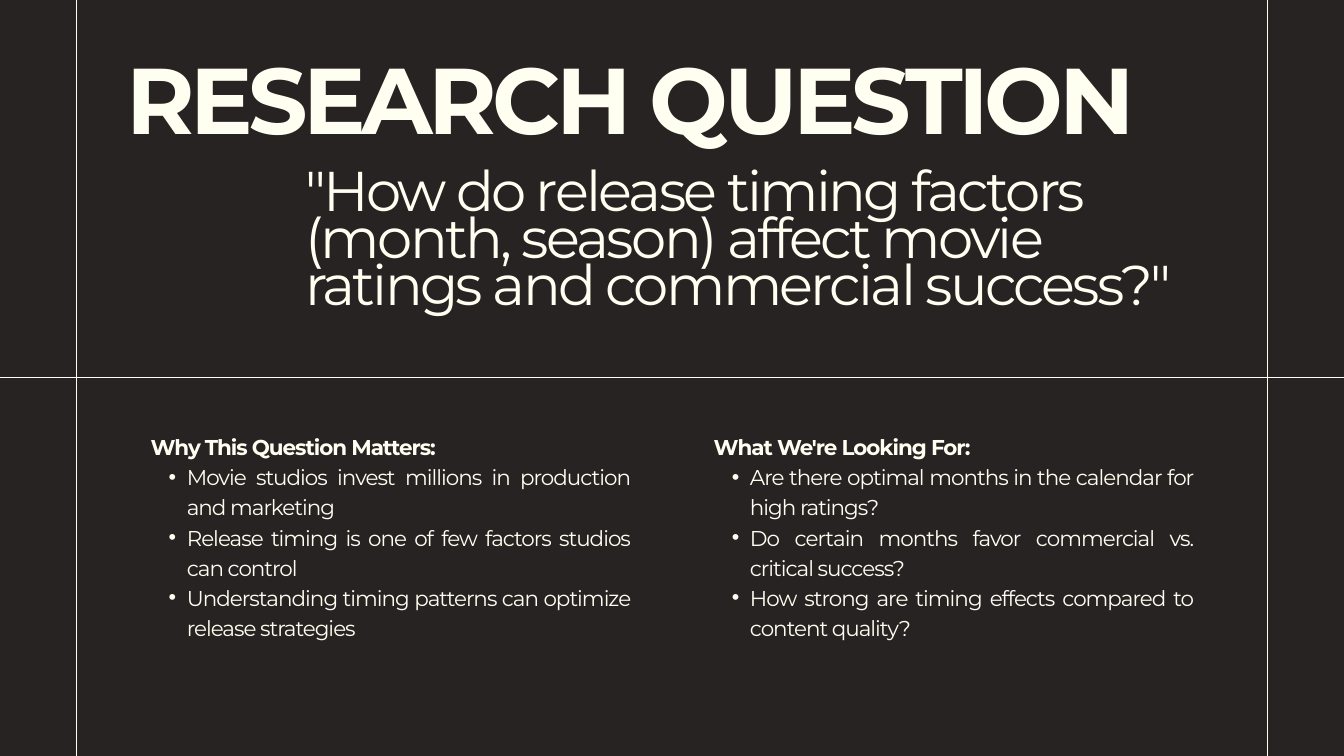
from dataclasses import dataclass

import pptx
import pptx.dml.color
import pptx.enum.shapes
import pptx.enum.text
import pptx.oxml.ns
import pptx.util
from lxml import etree
from pptx.util import Inches


@dataclass(frozen=True)
class Theme:
    background: str = "272323"
    ink: str = "FFFFF1"
    font: str = "Montserrat"
    rule_width: float = 0.75
    # Each type style: size, line spacing, letter spacing (points)
    title: tuple = (100, 84, -4.8)
    question: tuple = (60, 50.4, -2.9)
    body: tuple = (23, 32.2, -1.1)


class SlideBuilder:
    def __init__(self, slide, theme):
        self.slide = slide
        self.theme = theme
        self.ink = pptx.dml.color.RGBColor.from_string(theme.ink)
        fill = slide.background.fill
        fill.solid()
        fill.fore_color.rgb = pptx.dml.color.RGBColor.from_string(theme.background)

    def rule(self, x1, y1, x2, y2):
        line = self.slide.shapes.add_connector(
            pptx.enum.shapes.MSO_CONNECTOR.STRAIGHT,
            Inches(x1), Inches(y1), Inches(x2), Inches(y2))
        line.line.color.rgb = self.ink
        line.line.width = pptx.util.Pt(self.theme.rule_width)
        etree.SubElement(line._element.spPr, pptx.oxml.ns.qn("a:effectLst"))

    def frame(self, left, top, width, height):
        box = self.slide.shapes.add_textbox(
            Inches(left), Inches(top), Inches(width), Inches(height))
        frame = box.text_frame
        frame.margin_left = frame.margin_right = 0
        frame.margin_top = frame.margin_bottom = 0
        frame.word_wrap = True
        frame.auto_size = pptx.enum.text.MSO_AUTO_SIZE.SHAPE_TO_FIT_TEXT
        return frame

    def fill_paragraph(self, paragraph, text, style, bold=False):
        size, line_spacing, tracking = style
        run = paragraph.add_run()
        run.text = text
        run._r.get_or_add_rPr().set("spc", str(round(tracking * 100)))
        paragraph.line_spacing = pptx.util.Pt(line_spacing)
        font = paragraph.font
        font.name = self.theme.font
        font.size = pptx.util.Pt(size)
        font.bold = bold
        font.color.rgb = self.ink

    def text(self, area, text, style, bold=False):
        self.fill_paragraph(self.frame(*area).paragraphs[0], text, style, bold)

    def bullet(self, paragraph):
        paragraph.level = 1
        properties = paragraph._p.get_or_add_pPr()
        properties.set("marL", str(Inches(0.54)))
        properties.set("indent", str(Inches(-0.27)))
        for tag, attribute, value in (("a:buFont", "typeface", "Arial"),
                                      ("a:buChar", "char", "•")):
            etree.SubElement(properties, pptx.oxml.ns.qn(tag)).set(attribute, value)

    def bullet_list(self, area, heading, points):
        frame = self.frame(*area)
        self.fill_paragraph(frame.paragraphs[0], heading, self.theme.body, bold=True)
        for point in points:
            paragraph = frame.add_paragraph()
            self.bullet(paragraph)
            self.fill_paragraph(paragraph, point, self.theme.body)
        for paragraph in frame.paragraphs:
            paragraph.alignment = pptx.enum.text.PP_ALIGN.JUSTIFY


def main():
    width, height = 20, 11.25
    side_margin, divider = 1.14, 5.61
    presentation = pptx.Presentation()
    presentation.slide_width = Inches(width)
    presentation.slide_height = Inches(height)
    theme = Theme()
    slide = presentation.slides.add_slide(presentation.slide_layouts[6])
    builder = SlideBuilder(slide, theme)

    builder.rule(0, divider, width, divider)
    for x in (side_margin, width - side_margin):
        builder.rule(x, height, x, 0)

    builder.text((1.88, 1.11, 16.24, 1.27), "RESEARCH QUESTION", theme.title, bold=True)
    columns = (
        (2.24, 3.05, "Why This Question Matters:", (
            "Movie studios invest millions in production and marketing",
            "Release timing is one of few factors studios can control",
            "Understanding timing patterns can optimize release strategies")),
        (10.62, 3.49, "What We're Looking For:", (
            "Are there optimal months in the calendar for high ratings?",
            "Do certain months favor commercial vs. critical success?",
            "How strong are timing effects compared to content quality?")),
    )
    for left, column_height, heading, points in columns:
        builder.bullet_list((left, 6.4, 7.14, column_height), heading, points)
    builder.text(
        (4.54, 2.61, 13.59, 2.16),
        '"How do release timing factors (month, season) affect movie '
        'ratings and commercial success?"',
        theme.question)

    presentation.save("out.pptx")


if __name__ == "__main__":
    main()
